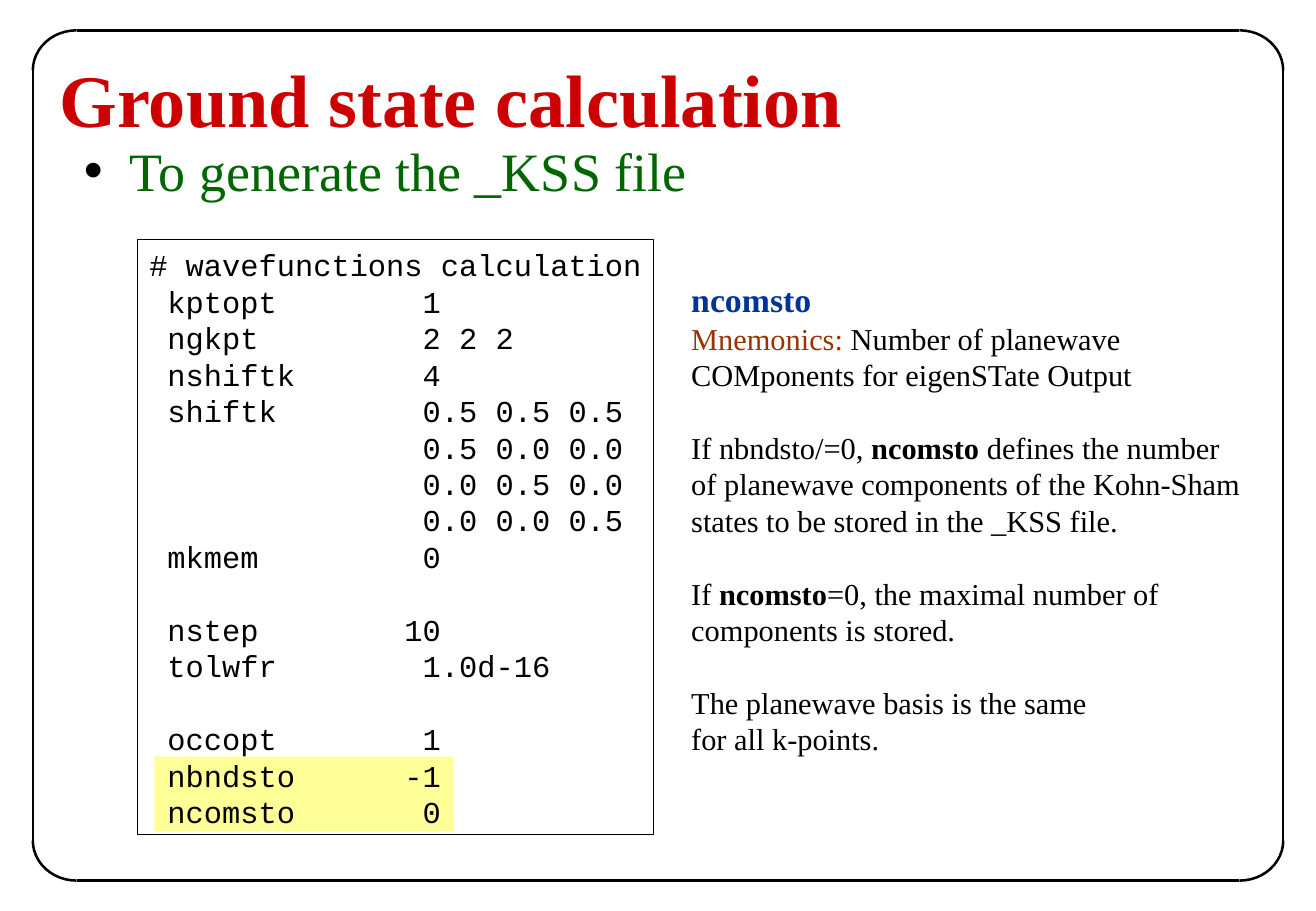
from lxml.etree import SubElement
from pptx import Presentation
from pptx.dml.color import RGBColor
from pptx.enum.shapes import MSO_CONNECTOR, MSO_SHAPE
from pptx.enum.text import MSO_ANCHOR, MSO_AUTO_SIZE, PP_ALIGN
from pptx.oxml.ns import qn
from pptx.util import Inches, Pt

BLACK = RGBColor(0x00, 0x00, 0x00)
RED = RGBColor(0xCC, 0x00, 0x00)
GREEN = RGBColor(0x00, 0x66, 0x00)
BLUE = RGBColor(0x00, 0x33, 0x99)
BROWN = RGBColor(0x99, 0x33, 0x00)
YELLOW = RGBColor(0xFF, 0xFF, 0x97)
SERIF, MONO = "Times New Roman", "Courier New"
LINE_RATIO = 1.2
LEFT, TOP, RIGHT, BOTTOM = 0.27, 0.25, 10.56, 7.25
RADIUS_X, RADIUS_Y = 0.36, 0.33
ARC_UNITS_PER_DEGREE = 0.6

TITLE = "Ground state calculation"
SUBTITLE = "To generate the _KSS file"
CODE_BLOCKS = [
    """# wavefunctions calculation
 kptopt        1
 ngkpt         2 2 2
 nshiftk       4
 shiftk        0.5 0.5 0.5
               0.5 0.0 0.0
               0.0 0.5 0.0
               0.0 0.0 0.5
 mkmem         0""",
    """ nstep        10
 tolwfr        1.0d-16""",
    """ occopt        1
 nbndsto      -1
 ncomsto       0""",
]
BOLD = {"bold": True}
NOTES = [
    [[("ncomsto", {"bold": True, "size": 20, "color": BLUE})],
     [("Mnemonics:", {"color": BROWN}),
      (" Number of planewave\nCOMponents for eigenSTate Output", {})]],
    [[("If nbndsto/=0, ", {}), ("ncomsto", BOLD),
      (" defines the number\nof planewave components of the Kohn-Sham\n"
       "states to be stored in the _KSS file.", {})]],
    [[("If ", {}), ("ncomsto", BOLD),
      ("=0, the maximal number of\ncomponents is stored.", {})]],
    [[("The planewave basis is the same\nfor all k-points.", {})]],
]


def add_text(paragraph, text, font=SERIF, size=18, color=BLACK, bold=False):
    for index, line in enumerate(text.split("\n")):
        if index:
            paragraph.add_line_break()
        run = paragraph.add_run()
        run.text = line
        run.font.name = font
        run.font.size = Pt(size)
        run.font.color.rgb = color
        run.font.bold = bold


def place(shape, left, top, width, height):
    shape.left, shape.top = Inches(left), Inches(top)
    shape.width, shape.height = Inches(width), Inches(height)


def add_box(kind, left, top, width, height, fill=None, line_width=None):
    shape = slide.shapes.add_shape(
        kind, Inches(left), Inches(top), Inches(width), Inches(height))
    shape.shadow.inherit = False
    if fill is None:
        shape.fill.background()
    else:
        shape.fill.solid()
        shape.fill.fore_color.rgb = fill
    if line_width is None:
        shape.line.fill.background()
    else:
        shape.line.color.rgb = BLACK
        shape.line.width = Pt(line_width)
    return shape


def add_line(*ends):
    connector = slide.shapes.add_connector(
        MSO_CONNECTOR.STRAIGHT, *(Inches(end) for end in ends))
    connector.line.color.rgb = BLACK
    connector.line.width = Pt(1.5)
    SubElement(connector._element.spPr, qn("a:effectLst"))


def add_frame():
    width, height = 2 * RADIUS_X, 2 * RADIUS_Y
    far_left, far_top = RIGHT - width, BOTTOM - height
    corners = [(far_left, far_top), (LEFT, far_top), (LEFT, TOP), (far_left, TOP)]
    for quarter, (left, top) in enumerate(corners):
        arc = add_box(MSO_SHAPE.ARC, left, top, width, height, line_width=1.5)
        arc.adjustments[0] = 90 * quarter * ARC_UNITS_PER_DEGREE * 360 / 360
        arc.adjustments[1] = 90 * (quarter + 1) % 360 * ARC_UNITS_PER_DEGREE
    for y in (TOP, BOTTOM):
        add_line(LEFT + RADIUS_X, y, RIGHT - RADIUS_X, y)
    for x in (LEFT, RIGHT):
        add_line(x, TOP + RADIUS_Y, x, BOTTOM - RADIUS_Y)


def fill_blocks(frame, blocks, **style):
    frame.word_wrap = False
    frame.vertical_anchor = MSO_ANCHOR.TOP
    paragraph = None
    for block in blocks:
        for index, runs in enumerate(block):
            gap = 18 * LINE_RATIO if paragraph is not None and index == 0 else 0
            paragraph = frame.paragraphs[0] if paragraph is None else frame.add_paragraph()
            paragraph.alignment = PP_ALIGN.LEFT
            paragraph.space_before = Pt(gap)
            size = max(options.get("size", 18) for _, options in runs)
            paragraph.line_spacing = Pt(size * LINE_RATIO)
            for text, options in runs:
                add_text(paragraph, text, **{**style, **options})


def fill_placeholder(shape, text, **style):
    frame = shape.text_frame
    frame.auto_size = MSO_AUTO_SIZE.NONE
    frame.vertical_anchor = MSO_ANCHOR.MIDDLE
    paragraph = frame.paragraphs[0]
    paragraph.alignment = PP_ALIGN.LEFT
    paragraph.space_before = Pt(0)
    add_text(paragraph, text, **style)
    return paragraph


presentation = Presentation()
presentation.slide_width, presentation.slide_height = Inches(10.83), Inches(7.5)
slide = presentation.slides.add_slide(presentation.slide_layouts[1])
title, body = slide.placeholders

add_frame()

place(title, 0.39, 0.02, 6.65, 1.57)
fill_placeholder(title, TITLE, size=44, color=RED, bold=True)

place(body, 0.59, 1.08, 5.19, 0.64)
bullet = fill_placeholder(body, SUBTITLE, size=32, color=GREEN)
properties = bullet._p.get_or_add_pPr()
properties.set("marL", str(Inches(0.375)))
properties.set("indent", str(-Inches(0.375)))
bullet_color = SubElement(properties, qn("a:buClr"))
SubElement(bullet_color, qn("a:srgbClr")).set("val", str(BLACK))
SubElement(properties, qn("a:buChar")).set("char", "•")

add_box(MSO_SHAPE.RECTANGLE, 1.27, 6.23, 2.46, 0.61, fill=YELLOW)
code = add_box(MSO_SHAPE.RECTANGLE, 1.13, 1.97, 4.25, 4.9, line_width=0.75)
code.text_frame.margin_top = Inches(0.06)
fill_blocks(code.text_frame,
            [[[(line, {})] for line in block.split("\n")] for block in CODE_BLOCKS],
            font=MONO)

notes = slide.shapes.add_textbox(Inches(5.59), Inches(2.25), Inches(4.72), Inches(4.04))
fill_blocks(notes.text_frame, NOTES)

presentation.save("out.pptx")
